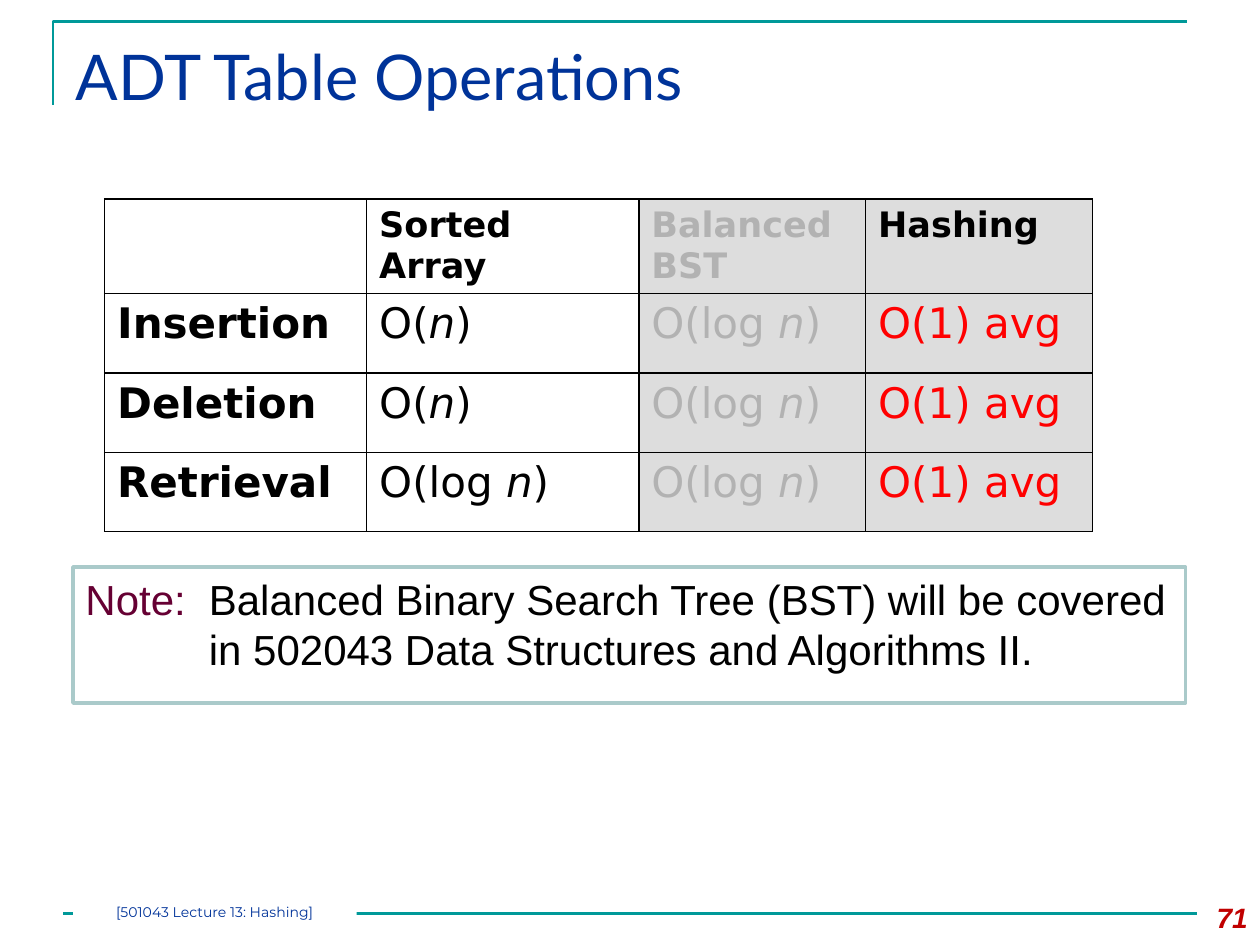
from lxml import etree
from pptx import Presentation
from pptx.dml.color import RGBColor
from pptx.enum.shapes import MSO_CONNECTOR, MSO_SHAPE
from pptx.enum.text import MSO_ANCHOR, PP_ALIGN
from pptx.oxml.ns import qn
from pptx.util import Inches, Pt

STRAIGHT = MSO_CONNECTOR.STRAIGHT
RECTANGLE = MSO_SHAPE.RECTANGLE
TOP = MSO_ANCHOR.TOP
LEFT, CENTER, RIGHT = PP_ALIGN.LEFT, PP_ALIGN.CENTER, PP_ALIGN.RIGHT

COLORS = {
    "teal": "009999", "blue": "003399", "number": "C00000", "note": "660033",
    "note_line": "AACACA", "black": "000000", "white": "FFFFFF",
    "muted": "B2B2B2", "shade": "DDDDDD", "red": "FF0000",
}
TABLE_FONT = "DejaVu Sans"
COLUMN_WIDTHS = [2.08, 2.16, 1.8, 1.8]
ROW_HEIGHTS = [0.75, 0.63, 0.63, 0.63]
HEADERS = ["", "Sorted Array", "Balanced BST", "Hashing"]
OPERATIONS = [
    ("Insertion", "O(n)"),
    ("Deletion", "O(n)"),
    ("Retrieval", "O(log n)"),
]


def rgb(name):
    return RGBColor.from_string(COLORS[name])


def add_span(para, text, font="Arial", size=24, color="black", bold=False, italic=False):
    span = para.add_run()
    span.text = text
    span.font.name = font
    span.font.size = Pt(size)
    span.font.color.rgb = rgb(color)
    span.font.bold = bold
    span.font.italic = italic


def write(frame, text, align=LEFT, **style):
    frame.word_wrap = True
    frame.vertical_anchor = TOP
    para = frame.paragraphs[0]
    para.alignment = align
    add_span(para, text, **style)


def add_box(page, left, top, width, height, line=None):
    box = page.shapes.add_shape(
        RECTANGLE, Inches(left), Inches(top), Inches(width), Inches(height))
    box.shadow.inherit = False
    box.fill.solid()
    box.fill.fore_color.rgb = rgb("white")
    if line:
        box.line.color.rgb = rgb(line)
        box.line.width = Pt(2)
    else:
        box.line.fill.background()
    return box


def add_frame_lines(page):
    # Corner bracket around the title
    builder = page.shapes.build_freeform(Inches(0.42), Inches(0.83))
    builder.add_line_segments(
        [(Inches(0.42), Inches(0.17)), (Inches(9.42), Inches(0.17))], close=False)
    bracket = builder.convert_to_shape()
    bracket.shadow.inherit = False
    bracket.fill.background()
    # Rule above the bottom edge
    rule = page.shapes.add_connector(
        STRAIGHT, Inches(0.5), Inches(7.25), Inches(9.5), Inches(7.25))
    etree.SubElement(rule._element.spPr, qn("a:effectLst"))
    for outline in (bracket.line, rule.line):
        outline.color.rgb = rgb("teal")
        outline.width = Pt(1.5)


def add_title(page, text):
    title = page.shapes.title
    title.left, title.top = Inches(0.5), Inches(0.25)
    title.width, title.height = Inches(9), Inches(0.86)
    write(title.text_frame, text, font="Lato", size=36, color="blue")


def add_note(page):
    frame = add_box(page, 0.58, 4.5, 8.83, 1.08, line="note_line").text_frame
    properties = frame.paragraphs[0]._p.get_or_add_pPr()
    properties.set("marL", str(Inches(0.98)))
    properties.set("indent", str(-Inches(0.98)))
    write(frame, "Note:\t", color="note")
    add_span(frame.paragraphs[0], "Balanced Binary Search Tree (BST) will be covered "
             "in 502043 Data Structures and Algorithms II.")


def format_cell(cell, shaded):
    if shaded:
        cell.fill.solid()
        cell.fill.fore_color.rgb = rgb("shade")
    else:
        cell.fill.background()
    # Borders come before the fill in the cell properties
    properties = cell._tc.get_or_add_tcPr()
    for position, side in enumerate(("a:lnL", "a:lnR", "a:lnT", "a:lnB")):
        border = etree.Element(qn(side), w=str(Pt(1)))
        fill = etree.SubElement(border, qn("a:solidFill"))
        etree.SubElement(fill, qn("a:srgbClr"), val=COLORS["black"])
        properties.insert(position, border)


def write_cost(cell, cost, color):
    """Write a complexity with its variable n in italics."""
    before, variable, after = cost.partition("n")
    para = cell.text_frame.paragraphs[0]
    for text, italic in ((before, False), (variable, True), (after, False)):
        add_span(para, text, font=TABLE_FONT, color=color, italic=italic)


def add_operations_table(page):
    table = page.shapes.add_table(
        len(ROW_HEIGHTS), len(COLUMN_WIDTHS), Inches(0.83), Inches(1.58),
        Inches(sum(COLUMN_WIDTHS)), Inches(sum(ROW_HEIGHTS))).table
    table.first_row = table.horz_banding = False
    for column, width in zip(table.columns, COLUMN_WIDTHS):
        column.width = Inches(width)
    for row, height in zip(table.rows, ROW_HEIGHTS):
        row.height = Inches(height)
        for index, cell in enumerate(row.cells):
            format_cell(cell, shaded=index >= 2)

    # Header row
    for index, header in enumerate(HEADERS):
        if header:
            write(table.cell(0, index).text_frame, header, font=TABLE_FONT, size=20,
                  bold=True, color="muted" if index == 2 else "black")
    # One row for each operation
    for index, (operation, array_cost) in enumerate(OPERATIONS, start=1):
        write(table.cell(index, 0).text_frame, operation, font=TABLE_FONT, bold=True)
        write_cost(table.cell(index, 1), array_cost, "black")
        write_cost(table.cell(index, 2), "O(log n)", "muted")
        write(table.cell(index, 3).text_frame, "O(1) avg", font=TABLE_FONT, color="red")


def add_footer(page):
    frame = add_box(page, 0.58, 7.17, 2.25, 0.17).text_frame
    frame.margin_left = frame.margin_right = 0
    frame.margin_top = frame.margin_bottom = 0
    write(frame, "[501043 Lecture 13: Hashing]", align=CENTER,
          font="Montserrat", size=8, color="blue")
    number = page.shapes.add_textbox(Inches(9.33), Inches(7.1), Inches(0.67), Inches(0.4))
    write(number.text_frame, "71", align=RIGHT, size=16, color="number",
          bold=True, italic=True)


def main():
    deck = Presentation()
    deck.slide_width, deck.slide_height = Inches(10), Inches(7.5)
    page = deck.slides.add_slide(deck.slide_layouts[5])
    add_frame_lines(page)
    add_title(page, "ADT Table Operations")
    add_note(page)
    add_operations_table(page)
    add_footer(page)
    deck.save("out.pptx")


if __name__ == "__main__":
    main()
